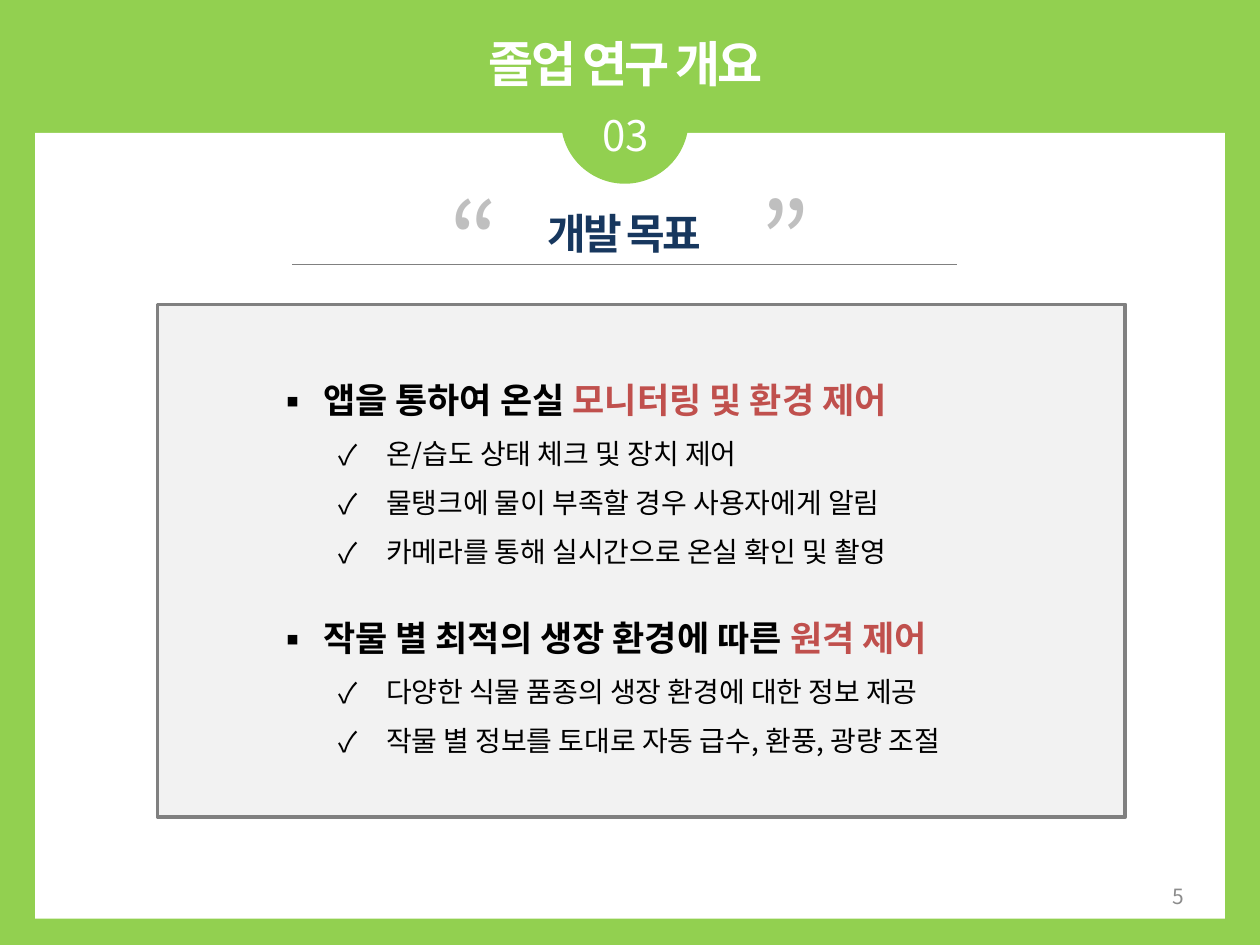
from dataclasses import dataclass

from lxml.etree import SubElement
from pptx import Presentation
from pptx.dml.color import RGBColor
from pptx.enum.shapes import MSO_CONNECTOR, MSO_SHAPE
from pptx.enum.text import MSO_ANCHOR, MSO_AUTO_SIZE, PP_ALIGN
from pptx.oxml.ns import qn
from pptx.util import Pt

FONT = "Noto Sans CJK KR"
GREEN = RGBColor(0x92, 0xD0, 0x50)
WHITE = RGBColor(0xFF, 0xFF, 0xFF)
BLACK = RGBColor(0x00, 0x00, 0x00)
NAVY = RGBColor(0x17, 0x37, 0x5E)
RED = RGBColor(0xC0, 0x50, 0x4D)
GRAY = RGBColor(0x80, 0x80, 0x80)
QUOTE_GRAY = RGBColor(0xBF, 0xBF, 0xBF)
NUMBER_GRAY = RGBColor(0x8C, 0x8C, 0x8C)
PANEL_GRAY = RGBColor(0xF2, 0xF2, 0xF2)


@dataclass(frozen=True)
class Box:
    x: float
    y: float
    w: float
    h: float

    def lengths(self) -> tuple:
        return Pt(self.x), Pt(self.y), Pt(self.w), Pt(self.h)


@dataclass(frozen=True)
class Style:
    size: float
    color: RGBColor
    bold: bool = False
    spacing: float = 0


@dataclass(frozen=True)
class Label:
    text: str
    box: Box
    style: Style
    align: PP_ALIGN = PP_ALIGN.CENTER
    anchor: MSO_ANCHOR = MSO_ANCHOR.TOP


@dataclass(frozen=True)
class Level:
    number: int
    bullet: str
    indent: float
    line: float
    style: Style


@dataclass(frozen=True)
class Goal:
    lead: str
    accent: str
    details: tuple


HEADING = Level(0, "▪", 27, 37, Style(20, BLACK, True))
DETAIL = Level(1, "✓", 63, 28, Style(16, BLACK))
HANGING = 27
GOAL_GAP = 15

TITLE = Label("졸업 연구 개요 ", Box(20, 14, 680, 41), Style(28, WHITE, True, -1.5))
LABELS = (
    Label("03", Box(315, 58, 85, 36), Style(24, WHITE)),
    Label("“", Box(241, 94, 60, 80), Style(60, QUOTE_GRAY)),
    Label("”", Box(419, 94, 60, 80), Style(60, QUOTE_GRAY)),
    Label("개발 목표", Box(187, 114, 340, 36), Style(24, NAVY, True, -1.5)),
    Label("5", Box(516, 497, 168, 29), Style(12, NUMBER_GRAY),
          PP_ALIGN.RIGHT, MSO_ANCHOR.MIDDLE),
)
GOALS = (
    Goal("앱을 통하여 온실 ", "모니터링 및 환경 제어", (
        "온/습도 상태 체크 및 장치 제어",
        "물탱크에 물이 부족할 경우 사용자에게 알림",
        "카메라를 통해 실시간으로 온실 확인 및 촬영",
    )),
    Goal("작물 별 최적의 생장 환경에 따른 ", "원격 제어", (
        "다양한 식물 품종의 생장 환경에 대한 정보 제공",
        "작물 별 정보를 토대로 자동 급수, 환풍, 광량 조절",
    )),
)


def add_block(s, kind, box: Box, fill: RGBColor, line=None) -> None:
    sp = s.shapes.add_shape(kind, *box.lengths())
    sp.shadow.inherit = False
    sp.fill.solid()
    sp.fill.fore_color.rgb = fill
    if line is None:
        sp.line.fill.background()
    else:
        sp.line.color.rgb = line
        sp.line.width = Pt(2)


def add_rule(s, x1: float, x2: float, y: float) -> None:
    rule = s.shapes.add_connector(MSO_CONNECTOR.STRAIGHT, Pt(x1), Pt(y), Pt(x2), Pt(y))
    rule.line.color.rgb = GRAY
    rule.line.width = Pt(0.75)
    SubElement(rule.element.spPr, qn("a:effectLst"))


def style_paragraph(p, style: Style) -> None:
    """Set the paragraph font, for Latin and Korean text alike."""
    p.font.name = FONT
    p.font.size = Pt(style.size)
    p.font.bold = style.bold
    p.font.color.rgb = style.color
    props = p._p.get_or_add_pPr().find(qn("a:defRPr"))
    SubElement(props, qn("a:ea")).set("typeface", FONT)
    if style.spacing:
        props.set("spc", str(round(style.spacing * 100)))


def fill_label(sp, label: Label) -> None:
    tf = sp.text_frame
    tf.word_wrap = True
    tf.auto_size = MSO_AUTO_SIZE.NONE
    tf.vertical_anchor = label.anchor
    p = tf.paragraphs[0]
    p.add_run().text = label.text
    p.alignment = label.align
    p.line_spacing = Pt(label.style.size * 1.25)
    style_paragraph(p, label.style)


def format_item(p, level: Level) -> None:
    p.level = level.number
    p.line_spacing = Pt(level.line)
    props = p._p.get_or_add_pPr()
    props.set("marL", str(Pt(level.indent)))
    props.set("indent", str(-Pt(HANGING)))
    SubElement(props, qn("a:buFont")).set("typeface", FONT)
    SubElement(props, qn("a:buChar")).set("char", level.bullet)
    style_paragraph(p, level.style)


def add_goals(s, box: Box, goals: tuple) -> None:
    tf = s.shapes.add_textbox(*box.lengths()).text_frame
    tf.word_wrap = True
    for i, goal in enumerate(goals):
        p = tf.add_paragraph() if i else tf.paragraphs[0]
        if i:
            p.space_before = Pt(GOAL_GAP)
        format_item(p, HEADING)
        p.add_run().text = goal.lead
        r = p.add_run()
        r.text = goal.accent
        r.font.color.rgb = RED
        for detail in goal.details:
            p = tf.add_paragraph()
            format_item(p, DETAIL)
            p.add_run().text = detail


def main() -> None:
    prs = Presentation()
    prs.slide_width, prs.slide_height = Pt(720), Pt(540)
    s = prs.slides.add_slide(prs.slide_layouts[5])
    s.background.fill.solid()
    s.background.fill.fore_color.rgb = GREEN

    add_block(s, MSO_SHAPE.RECTANGLE, Box(20, 76, 680, 449), WHITE)
    add_block(s, MSO_SHAPE.OVAL, Box(320.5, 32, 73, 73), GREEN)

    title = s.shapes.title
    title.left, title.top, title.width, title.height = TITLE.box.lengths()
    fill_label(title, TITLE)
    title.element.getparent().append(title.element)  # in front of the circle

    add_block(s, MSO_SHAPE.RECTANGLE, Box(90, 174, 553, 293), PANEL_GRAY, GRAY)
    add_goals(s, Box(150.5, 200, 436, 240), GOALS)
    add_rule(s, 167, 547, 151)
    for label in LABELS:
        fill_label(s.shapes.add_textbox(*label.box.lengths()), label)

    prs.save("out.pptx")


if __name__ == "__main__":
    main()
